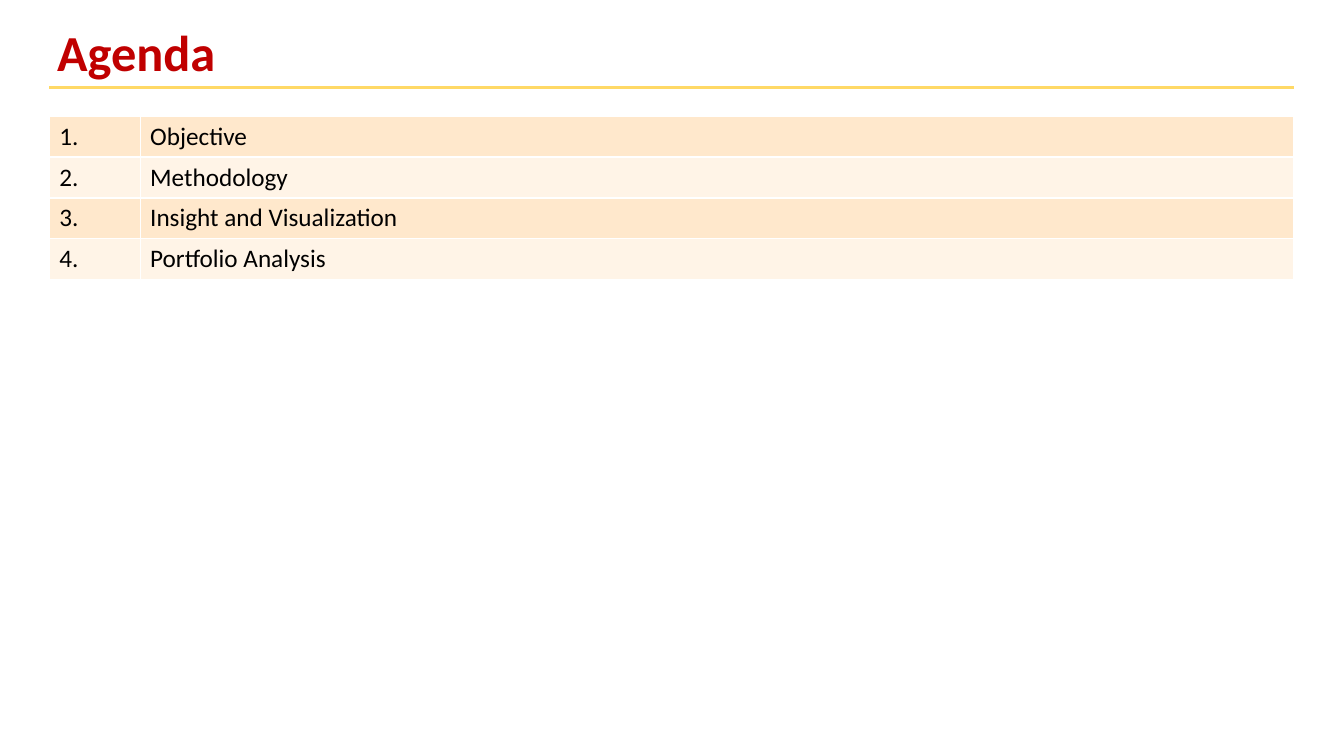
import pptx
import pptx.dml.color
import pptx.enum.shapes
import pptx.enum.text
import pptx.oxml.ns
import pptx.util
from lxml import etree

Pt = pptx.util.Pt
AGENDA = ["Objective", "Methodology", "Insight and Visualization", "Portfolio Analysis"]
LEFT = 35.3


def color(value):
    return pptx.dml.color.RGBColor.from_string(value)


def write(frame, text, font="Calibri", size=18, ink="000000", bold=False):
    span = frame.paragraphs[0].add_run()
    span.text = text
    span.font.name = font
    span.font.size = Pt(size)
    span.font.color.rgb = color(ink)
    span.font.bold = bold


class AgendaPage:
    title_ink = "C00000"
    rule_color = "FFD966"
    bands = ("FFE8CC", "FFF4E7")
    border_color = "FFFFFF"

    def __init__(self, deck):
        self.page = deck.slides.add_slide(deck.slide_layouts[6])

    def title(self, text, left, top, width, height):
        box = self.page.shapes.add_textbox(Pt(left), Pt(top), Pt(width), Pt(height))
        box.text_frame.word_wrap = False
        box.text_frame.auto_size = pptx.enum.text.MSO_AUTO_SIZE.SHAPE_TO_FIT_TEXT
        write(box.text_frame, text, size=36, ink=self.title_ink, bold=True)

    def rule(self, left, top, width):
        line = self.page.shapes.add_connector(
            pptx.enum.shapes.MSO_CONNECTOR.STRAIGHT,
            Pt(left), Pt(top), Pt(left + width), Pt(top))
        line.line.color.rgb = color(self.rule_color)
        line.line.width = Pt(2.25)
        etree.SubElement(line._element.spPr, pptx.oxml.ns.qn("a:effectLst"))

    def borders(self, cell):
        properties = cell._tc.get_or_add_tcPr()
        for side in ("a:lnL", "a:lnR", "a:lnT", "a:lnB"):
            edge = etree.SubElement(properties, pptx.oxml.ns.qn(side), w=str(Pt(1)))
            fill = etree.SubElement(edge, pptx.oxml.ns.qn("a:solidFill"))
            etree.SubElement(fill, pptx.oxml.ns.qn("a:srgbClr"), val=self.border_color)

    def numbered_table(self, entries, left, top, widths, row_height):
        table = self.page.shapes.add_table(
            len(entries), len(widths), Pt(left), Pt(top),
            Pt(sum(widths)), Pt(row_height * len(entries))).table
        table.first_row = False
        for column, width in zip(table.columns, widths):
            column.width = Pt(width)
        for index, entry in enumerate(entries):
            table.rows[index].height = Pt(row_height)
            for position, text in enumerate((f"{index + 1}.", entry)):
                cell = table.cell(index, position)
                self.borders(cell)
                cell.fill.solid()
                cell.fill.fore_color.rgb = color(self.bands[index % 2])
                write(cell.text_frame, text)


def main():
    deck = pptx.Presentation()
    deck.slide_width, deck.slide_height = Pt(960), Pt(540)
    agenda = AgendaPage(deck)

    # Heading with its underline
    agenda.title("Agenda", 33.8, 11.5, 129, 51)
    agenda.rule(LEFT, 62.6, 889)

    # Numbered topics
    agenda.numbered_table(AGENDA, LEFT, 83, (64.8, 824), 29.2)

    deck.save("out.pptx")


if __name__ == "__main__":
    main()
